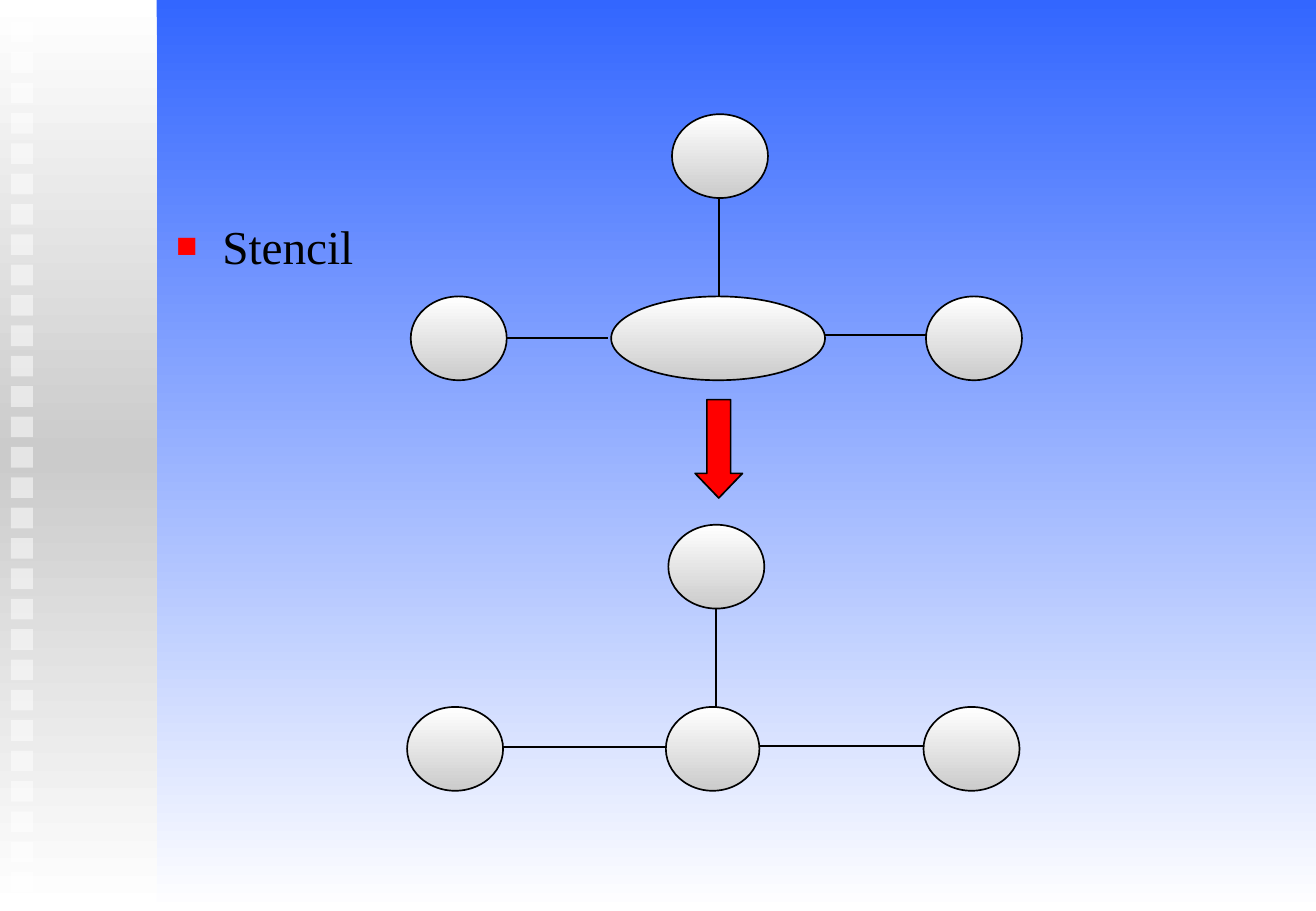
"""Build the stencil slide: a coarse stencil above, its refined form below."""
from copy import deepcopy

from lxml.etree import SubElement
from pptx import Presentation
from pptx.dml.color import RGBColor
from pptx.enum.shapes import MSO_CONNECTOR, MSO_SHAPE
from pptx.oxml.ns import qn
from pptx.util import Inches, Pt

BLUE = RGBColor(0x33, 0x66, 0xFF)
WHITE = RGBColor(0xFF, 0xFF, 0xFF)
GREY = RGBColor(0xCB, 0xCB, 0xCB)
RED = RGBColor(0xFF, 0x00, 0x00)
BLACK = RGBColor(0x00, 0x00, 0x00)


def shade(fill, top, bottom):
    fill.gradient()
    fill.gradient_angle = 270
    for stop, colour, position in zip(fill.gradient_stops, (top, bottom), (0, 1)):
        stop.color.rgb = colour
        stop.position = position


def add_part(preset, left, top, width, height, outlined=True):
    part = slide.shapes.add_shape(
        preset, Inches(left), Inches(top), Inches(width), Inches(height))
    part.shadow.inherit = False
    if outlined:
        part.line.color.rgb = BLACK
        part.line.width = Pt(1)
    else:
        part.line.fill.background()
    return part


prs = Presentation()
prs.slide_width = Inches(10.83)
prs.slide_height = Inches(7.5)
slide = prs.slides.add_slide(prs.slide_layouts[1])
shade(slide.background.fill, BLUE, WHITE)

heading = slide.shapes.title._element
heading.getparent().remove(heading)

sidebar = add_part(MSO_SHAPE.RECTANGLE, 0, 0, 1.29, 7.5, outlined=False)
shade(sidebar.fill, WHITE, WHITE)
sidebar_stops = next(sidebar._element.iter(qn("a:gsLst")))
sidebar_stops.insert(1, deepcopy(sidebar_stops[0]))
sidebar.fill.gradient_stops[1].color.rgb = GREY
sidebar.fill.gradient_stops[1].position = 0.5

for step in range(29):
    square = add_part(
        MSO_SHAPE.RECTANGLE, 0.09, 0.18 + 0.25 * step, 0.18, 0.17, outlined=False)
    square.fill.solid()
    square.fill.fore_color.rgb = WHITE
    square_colour = next(square._element.spPr.iter(qn("a:srgbClr")))
    SubElement(square_colour, qn("a:alpha"), val="50000")

topic = slide.placeholders[1]
topic.left, topic.top = Inches(1.35), Inches(1.69)
topic.width, topic.height = Inches(4.52), Inches(4.97)
topic.text_frame.margin_top = Inches(0.1)
topic_line = topic.text_frame.paragraphs[0]
topic_line.space_before = Pt(0)
topic_format = topic_line._p.get_or_add_pPr()
topic_format.set("marL", str(Inches(0.38)))
topic_format.set("indent", str(Inches(-0.38)))
bullet_colour = SubElement(topic_format, qn("a:buClr"))
SubElement(bullet_colour, qn("a:srgbClr"), val=str(RED))
SubElement(topic_format, qn("a:buSzPct"), val="75000")
SubElement(topic_format, qn("a:buFont"), typeface="Times New Roman")
SubElement(topic_format, qn("a:buChar"), char="■")
topic_run = topic_line.add_run()
topic_run.text = "Stencil"
topic_run.font.name = "Times New Roman"
topic_run.font.size = Pt(28)
topic_run.font.color.rgb = BLACK

links = [
    (5.92, 1.64, 5.92, 2.44),
    (7.62, 2.76, 6.79, 2.76),
    (5, 2.78, 4.17, 2.78),
    (5.89, 5.01, 5.89, 5.82),
    (7.6, 6.14, 6.25, 6.14),
    (5.48, 6.15, 4.14, 6.15),
]
for ends in links:
    link = slide.shapes.add_connector(
        MSO_CONNECTOR.STRAIGHT, *[Inches(end) for end in ends])
    link.line.color.rgb = BLACK
    link.line.width = Pt(1)
    SubElement(link._element.spPr, qn("a:effectLst"))

nodes = [
    (5.53, 0.94, 0.79),
    (5.03, 2.44, 1.76),
    (7.62, 2.44, 0.79),
    (3.38, 2.44, 0.79),
    (5.5, 4.32, 0.79),
    (5.48, 5.82, 0.77),
    (7.6, 5.82, 0.79),
    (3.35, 5.82, 0.79),
]
for left, top, width in nodes:
    node = add_part(MSO_SHAPE.OVAL, left, top, width, 0.69)
    shade(node.fill, WHITE, GREY)

refinement = add_part(MSO_SHAPE.DOWN_ARROW, 5.72, 3.29, 0.39, 0.81)
refinement.adjustments[0] = 0.5
refinement.adjustments[1] = 0.52
refinement.fill.solid()
refinement.fill.fore_color.rgb = RED

prs.save("out.pptx")
